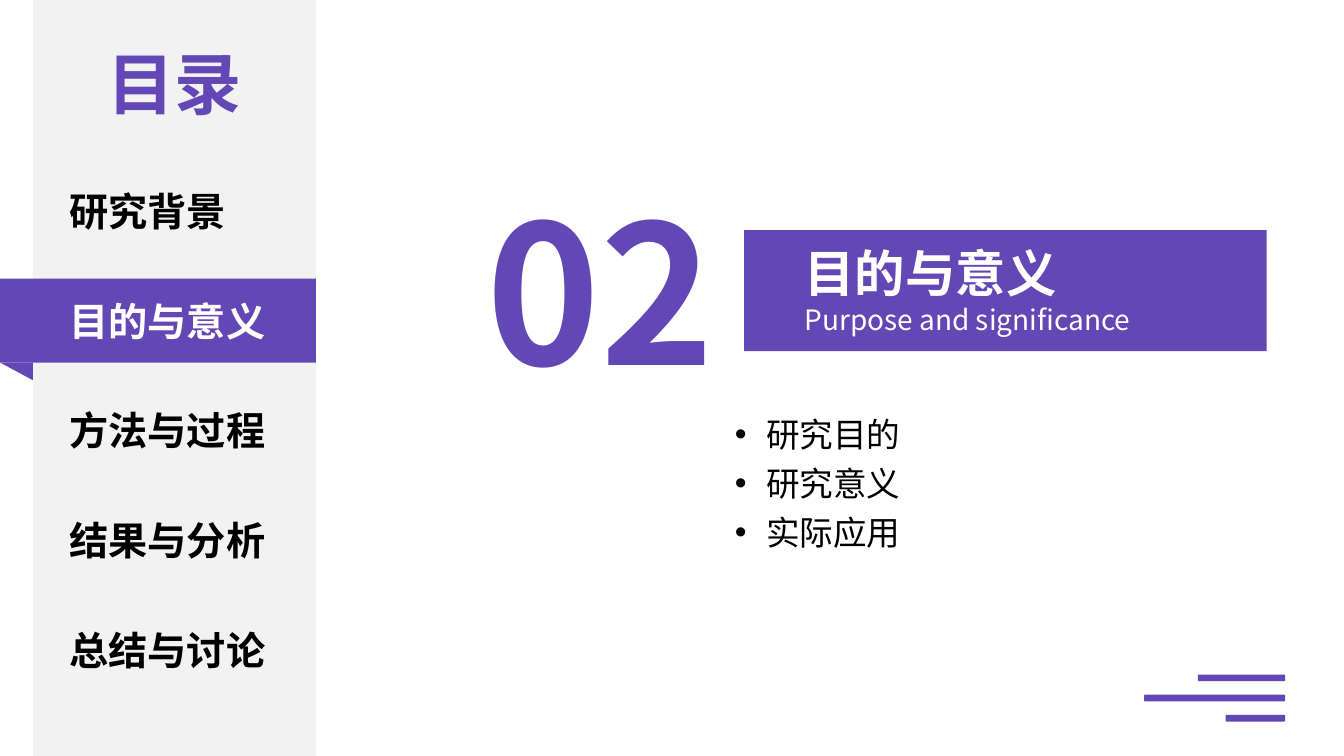
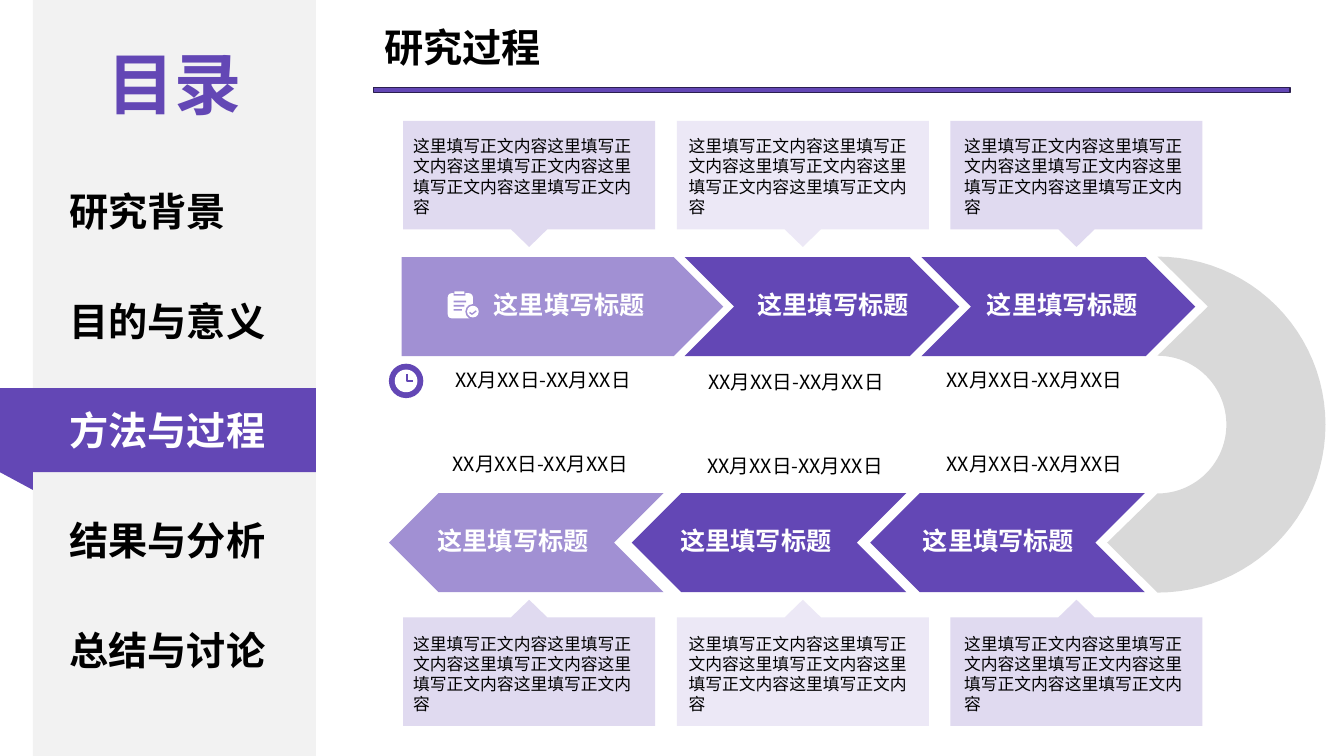
"""Build a contents divider and a research process slide on a 160 by 90 grid."""
import dataclasses
import math

import lxml.etree
import pptx
import pptx.dml.color
import pptx.enum.shapes
import pptx.enum.text
import pptx.oxml.ns
import pptx.util

SHAPE = pptx.enum.shapes.MSO_SHAPE
ALIGN = pptx.enum.text.PP_ALIGN
COLUMNS, ROWS = 160, 90
CELL = pptx.util.Inches(7.5) // ROWS


@dataclasses.dataclass(frozen=True)
class Theme:
    font: str = "Noto Sans CJK SC"
    purple: str = "6347B5"
    lilac: str = "A190D3"
    pale: str = "E0DAF0"
    outline: str = "2B1F4F"
    panel: str = "F2F2F2"
    track: str = "D9D9D9"
    ink: str = "000000"
    white: str = "FFFFFF"
    number: int = 138
    contents: int = 48
    section: int = 36
    heading: int = 28
    bullet: int = 24
    subtitle: int = 20
    step: int = 18
    date: int = 14
    body: int = 12


THEME = Theme()
MENU = ["研究背景", "目的与意义", "方法与过程", "结果与分析", "总结与讨论"]
STEP_TITLE = "这里填写标题"
STEP_DATE = "XX月XX日-XX月XX日"
STEP_BODY = "这里填写正文内容" * 5


def grid(cells):
    return pptx.util.Emu(round(cells * CELL))


def rgb(colour):
    return pptx.dml.color.RGBColor.from_string(colour)


def paint(shape, fill=None, line=None, weight=1, opacity=None):
    shape.shadow.inherit = False
    if fill:
        shape.fill.solid()
        shape.fill.fore_color.rgb = rgb(fill)
    else:
        shape.fill.background()
    if line:
        shape.line.color.rgb = rgb(line)
        shape.line.width = pptx.util.Pt(weight)
    else:
        shape.line.fill.background()
    if opacity:
        colour = shape._element.spPr.find(".//" + pptx.oxml.ns.qn("a:srgbClr"))
        lxml.etree.SubElement(colour, pptx.oxml.ns.qn("a:alpha"), val=str(opacity * 1000))
    return shape


def add_block(page, kind, left, top, width, height, fill, line=None):
    shape = page.shapes.add_shape(kind, grid(left), grid(top), grid(width), grid(height))
    return paint(shape, fill, line)


def add_outline(page, points, closed=True, **style):
    corners = [(grid(x), grid(y)) for x, y in points]
    builder = page.shapes.build_freeform(*corners[0])
    builder.add_line_segments(corners[1:], close=closed)
    return paint(builder.convert_to_shape(), **style)


def style_paragraph(para, size, colour, bold=False):
    para.font.name = THEME.font
    para.font.size = pptx.util.Pt(size)
    para.font.bold = bold
    para.font.color.rgb = rgb(colour)
    defaults = para._p.pPr.find(pptx.oxml.ns.qn("a:defRPr"))
    lxml.etree.SubElement(defaults, pptx.oxml.ns.qn("a:ea"), typeface=THEME.font)


def add_bullet(para):
    para.line_spacing = pptx.util.Pt(35)
    properties = para._p.get_or_add_pPr()
    indent = pptx.util.Inches(0.31)
    properties.set("marL", str(indent))
    properties.set("indent", str(-indent))
    lxml.etree.SubElement(properties, pptx.oxml.ns.qn("a:buFont"), typeface="Arial")
    lxml.etree.SubElement(properties, pptx.oxml.ns.qn("a:buChar"), char="•")


def add_text(page, left, top, width, height, lines, align=ALIGN.LEFT, bullets=False):
    box = page.shapes.add_textbox(grid(left), grid(top), grid(width), grid(height))
    frame = box.text_frame
    frame.word_wrap = True
    frame.auto_size = pptx.enum.text.MSO_AUTO_SIZE.SHAPE_TO_FIT_TEXT
    for index, (words, *style) in enumerate(lines):
        para = frame.add_paragraph() if index else frame.paragraphs[0]
        para.text = words
        para.alignment = align
        if bullets:
            add_bullet(para)
        style_paragraph(para, *style)


def add_sidebar(page, current):
    menu_top, pitch = 21.7, 13.06
    panel_left, panel_right, band_height = 3.9, 37.6, 10
    band_top = menu_top + current * pitch - 1.6
    add_block(page, SHAPE.RECTANGLE, panel_left, 0, panel_right - panel_left, ROWS, THEME.panel)
    add_block(page, SHAPE.RECTANGLE, 0, band_top, panel_right, band_height, THEME.purple)
    fold = add_block(page, SHAPE.RIGHT_TRIANGLE, 0, band_top + band_height,
                     panel_left, 2.1, THEME.purple)
    fold.rotation = 180
    add_text(page, 9.1, 4.4, 23.3, 10.9,
             [("目录", THEME.contents, THEME.purple, True)], ALIGN.CENTER)
    for index, label in enumerate(MENU):
        colour = THEME.white if index == current else THEME.ink
        add_text(page, 7.1, menu_top + index * pitch, 26.5, 6.8,
                 [(label, THEME.heading, colour, True)])


def add_speed_lines(page):
    right = 153
    for index, width in enumerate([10.4, 16.8, 7.1]):
        add_block(page, SHAPE.ROUNDED_RECTANGLE, right - width, 80.3 + index * 2.4,
                  width, 0.8, THEME.purple)


def add_callout(page, column, edge, direction, text_top):
    left, width = 48 + column * 32.58, 30
    middle, right = left + width / 2, left + width
    base, tip = edge + direction * 12.9, edge + direction * 15
    points = [(left, edge), (right, edge), (right, base), (middle + 2.16, base),
              (middle, tip), (middle - 2.16, base), (left, base)]
    if column == 1:
        add_outline(page, points, fill=THEME.lilac, opacity=20)
    else:
        add_outline(page, points, fill=THEME.pale)
    add_text(page, 48 + column * 32.8, text_top, width, 10.9,
             [(STEP_BODY, THEME.body, THEME.ink)])


def add_step(page, kind, top, arrow, title_left, date, backwards=False):
    left, width, fill = arrow
    shape = add_block(page, kind, left, top, width, 11.8, fill)
    shape.rotation = 180 if backwards else 0
    add_text(page, title_left, top + 3.3, 22.9, 4.8,
             [(STEP_TITLE, THEME.step, THEME.white, True)])
    add_text(page, *date, 28.9, 4.1, [(STEP_DATE, THEME.date, THEME.ink)], ALIGN.CENTER)


def arc(centre, radius, start, end, pieces=48):
    angles = [math.radians(start + (end - start) * i / pieces) for i in range(pieces + 1)]
    return [(centre[0] + radius * math.cos(a), centre[1] + radius * math.sin(a)) for a in angles]


def add_turn(page):
    centre = (137.8, 50.55)
    points = arc(centre, 20, -90, 90) + [(131.8, 64.6)]
    points += arc(centre, 8.2, 90, -90) + [(143.8, 36.5)]
    add_outline(page, points, fill=THEME.track)


def add_clipboard(page):
    add_block(page, SHAPE.ROUNDED_RECTANGLE, 53.3, 34.9, 3, 3, THEME.white)
    add_block(page, SHAPE.RECTANGLE, 54, 34.9, 1.4, 0.3, THEME.lilac)
    add_block(page, SHAPE.ROUNDED_RECTANGLE, 54.1, 34.7, 1.2, 0.3, THEME.white)
    for index, width in enumerate([1.5, 1.3, 1]):
        add_block(page, SHAPE.RECTANGLE, 54, 35.8 + index * 0.5, width, 0.2, THEME.lilac)
    add_block(page, SHAPE.OVAL, 55.4, 36.2, 1.8, 1.8, THEME.lilac)
    add_block(page, SHAPE.OVAL, 55.6, 36.4, 1.4, 1.4, THEME.white)
    add_outline(page, [(55.9, 37.2), (56.2, 37.4), (56.7, 37)], closed=False,
                line=THEME.lilac)


def add_clock(page):
    add_block(page, SHAPE.OVAL, 46.3, 43.3, 4.1, 4.1, THEME.purple)
    add_block(page, SHAPE.OVAL, 47, 44, 2.7, 2.7, THEME.white)
    add_outline(page, [(48.4, 44.5), (48.4, 45.4), (49.2, 45.4)], closed=False,
                line=THEME.purple, weight=1.5)


def build_divider(page):
    add_sidebar(page, 1)
    add_block(page, SHAPE.RECTANGLE, 88.6, 27.4, 62.2, 14.4, THEME.purple)
    add_text(page, 52.2, 19.9, 38.6, 29,
             [("02", THEME.number, THEME.purple, True)], ALIGN.CENTER)
    add_text(page, 94.6, 28.2, 54, 12.5,
             [("目的与意义", THEME.section, THEME.white, True),
              ("Purpose and significance", THEME.subtitle, THEME.white)])
    topics = ["研究目的", "研究意义", "实际应用"]
    add_text(page, 86.3, 47.6, 53.3, 18.4,
             [(topic, THEME.bullet, THEME.ink) for topic in topics], bullets=True)
    add_speed_lines(page)


def build_process(page):
    add_sidebar(page, 2)
    add_block(page, SHAPE.RECTANGLE, 44.5, 10.4, 109.1, 0.6, THEME.purple, THEME.outline)
    add_text(page, 44.6, 2.2, 59.2, 6.8, [("研究过程", THEME.heading, THEME.ink, True)])
    add_turn(page)
    fills = [THEME.lilac, THEME.purple, THEME.purple]
    kinds = [SHAPE.PENTAGON, SHAPE.CHEVRON, SHAPE.CHEVRON]
    outward = [(47.8, 38.3, 57.6, 50.2, 43.2), (81.5, 32.7, 89, 80.3, 43.4),
               (109.7, 32.6, 116.3, 108.7, 43.2)]
    homeward = [(46.3, 49.9, 53.2), (75.2, 80.2, 53.4), (103.6, 108.7, 53.2)]
    for column, fill in enumerate(fills):
        left, width, title_left, *date = outward[column]
        add_step(page, kinds[column], 30.6, (left, width, fill), title_left, date)
        left, *date = homeward[column]
        add_step(page, SHAPE.CHEVRON, 58.7, (left, 32.7, fill), 50.9 + column * 28.9,
                 date, backwards=True)
        add_callout(page, column, 14.4, 1, 15.6)
        add_callout(page, column, 86.4, -1, 74.8)
    add_clipboard(page)
    add_clock(page)


def main():
    deck = pptx.Presentation()
    deck.slide_width, deck.slide_height = grid(COLUMNS), grid(ROWS)
    for build in (build_divider, build_process):
        build(deck.slides.add_slide(deck.slide_layouts[6]))
    deck.save("out.pptx")


if __name__ == "__main__":
    main()
